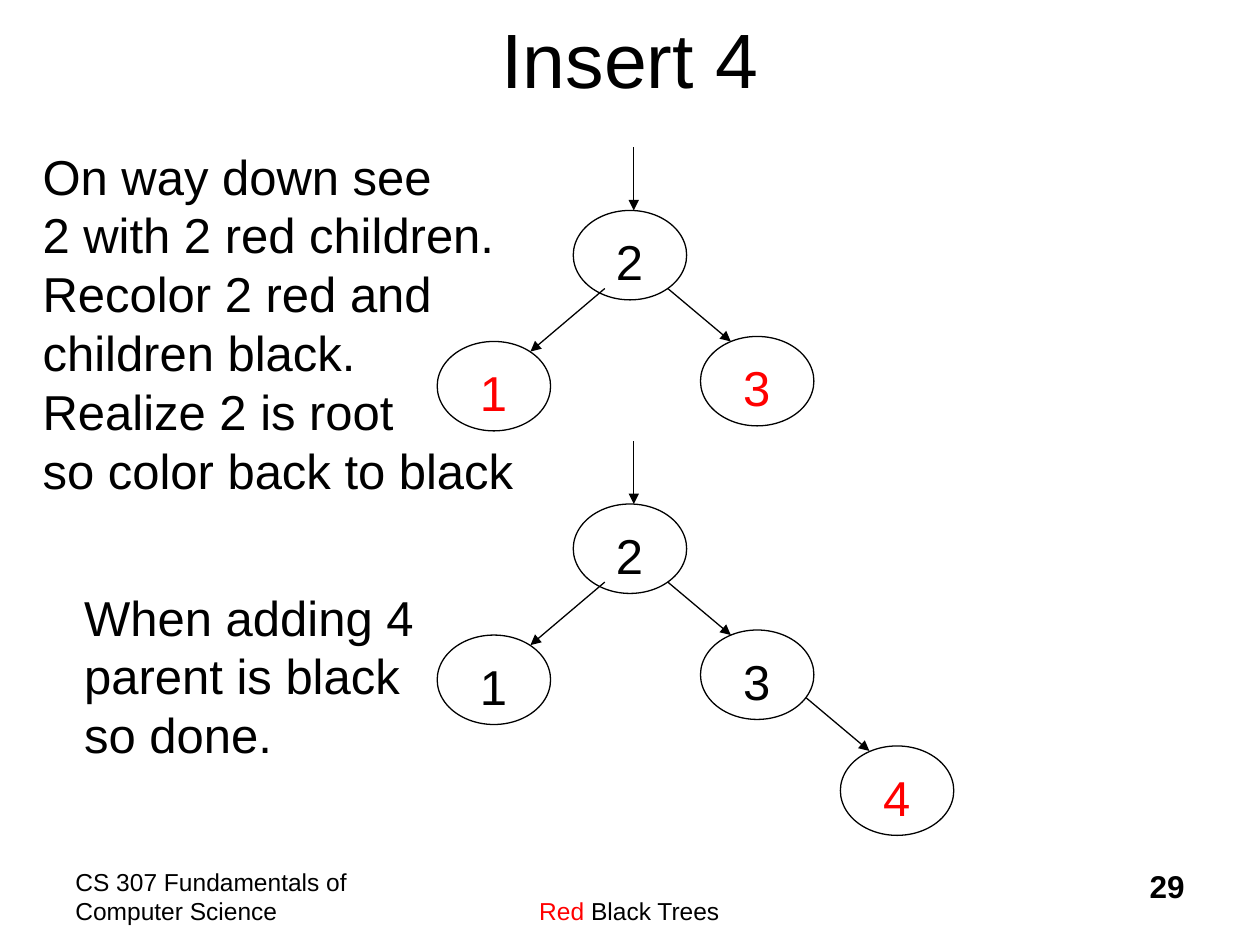
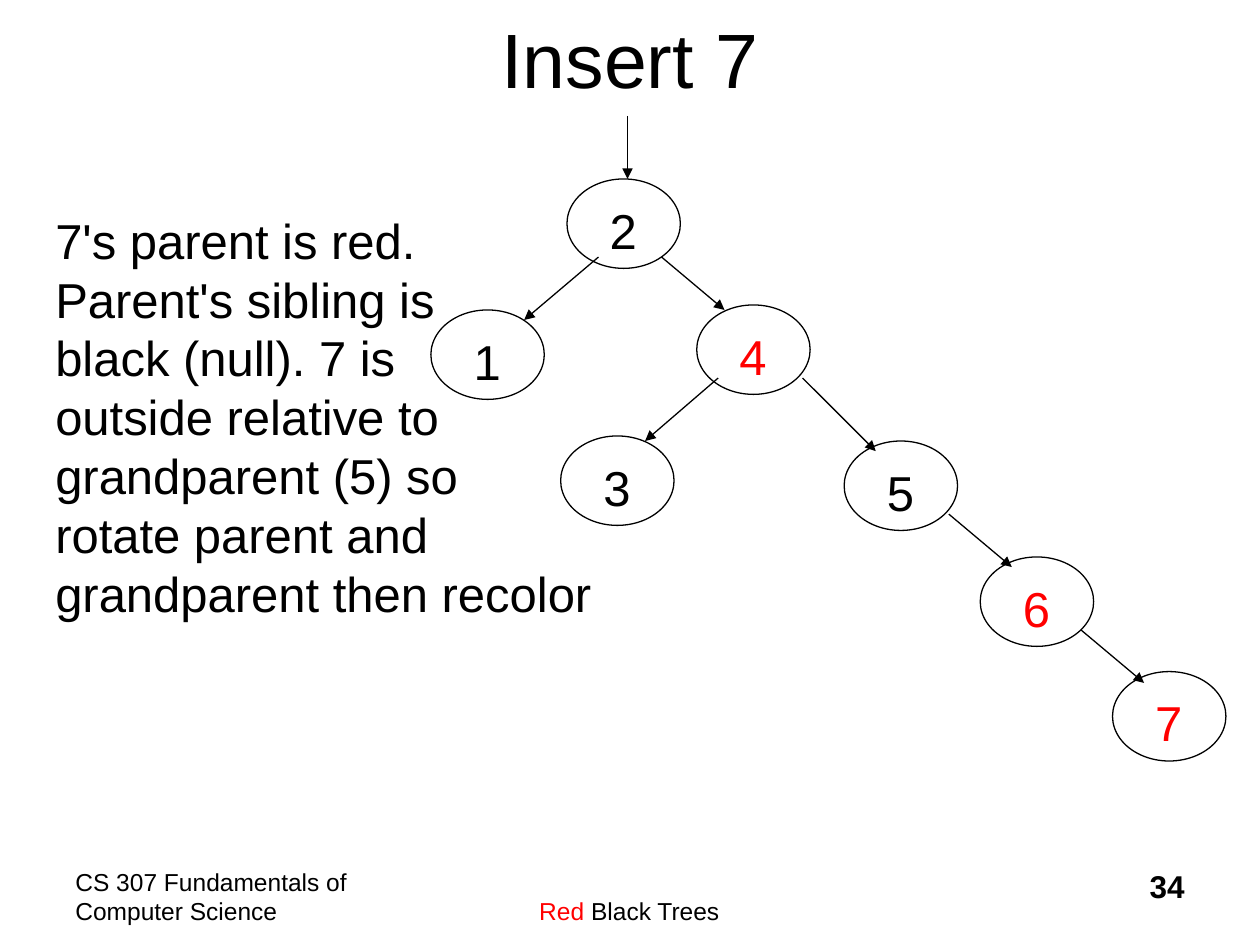
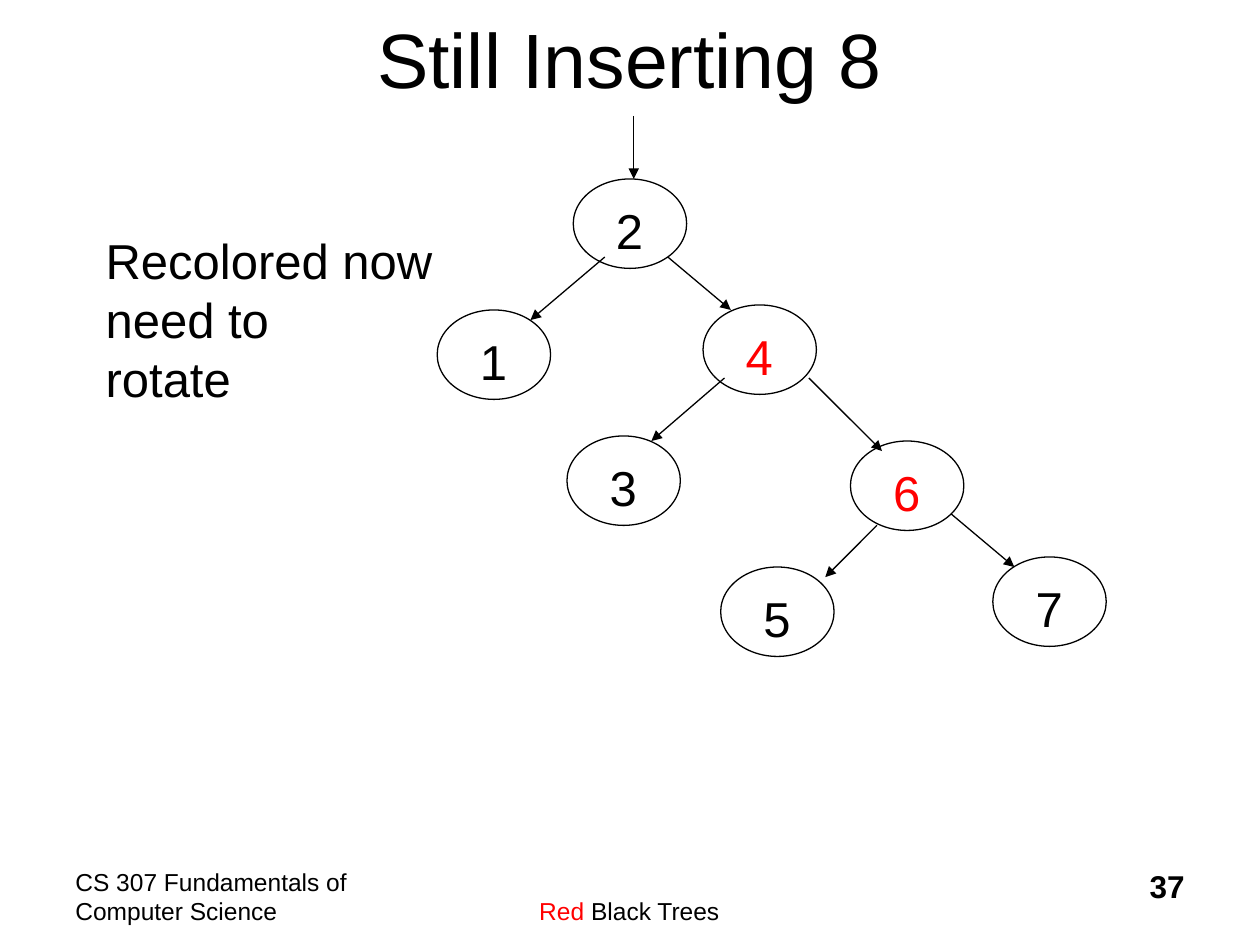
from lxml.etree import SubElement
from pptx import Presentation
from pptx.dml.color import RGBColor
from pptx.enum.shapes import MSO_CONNECTOR, MSO_SHAPE
from pptx.enum.text import MSO_ANCHOR, MSO_AUTO_SIZE, PP_ALIGN
from pptx.oxml.ns import qn
from pptx.util import Inches, Pt

BLACK = RGBColor(0, 0, 0)
RED = RGBColor(255, 0, 0)
FONT = "Arial"
NODE_W, NODE_H = 0.9, 0.71
LABEL = (0.24, 0.12, 0.41, 0.57)  # label box within a node

# Arrows and nodes are measured from the top left of the root node.
ROOT_ARROW = (0.48, -0.5, 0.48, 0)
LEFT_ARROW = (0.25, 0.62, -0.34, 1.12)
RIGHT_ARROW = (0.75, 0.62, 1.25, 1.04)
INNER_ARROW = (1.2, 1.58, 0.62, 2.08)
OUTER_ARROW = (1.87, 1.58, 2.45, 2.16)


def top_nodes(left, right, right_x):
    """Root 2 and its two children, the right one given as (value, colour)."""
    return [
        ("2", BLACK, 0, 0, ROOT_ARROW),
        ("1", left, -1.08, 1.04, LEFT_ARROW),
        (*right, right_x, 1, RIGHT_ARROW),
    ]


FOUR_TOP = top_nodes(BLACK, ("4", RED), 1.03) + [
    ("3", BLACK, -0.05, 2.04, INNER_ARROW),
]

SLIDES = [
    {
        "title": "Insert 4",
        "number": "29",
        "trees": [
            (4.55, 1.67, top_nodes(RED, ("3", RED), 1.01)),
            (4.55, 4, top_nodes(BLACK, ("3", BLACK), 1.01) + [
                ("4", RED, 2.12, 1.92, (1.85, 1.54, 2.35, 1.96)),
            ]),
        ],
        "notes": [
            ((0.24, 1.11, 3.93, 2.9), [
                "On way down see", "2 with 2 red children.",
                "Recolor 2 red and", "children black.",
                "Realize 2 is root", "so color back to black"]),
            ((0.57, 4.61, 2.81, 1.5), [
                "When adding 4", "parent is black", "so done."]),
        ],
    },
    {
        "title": "Insert 7",
        "number": "34",
        "trees": [
            (4.5, 1.42, FOUR_TOP + [
                ("5", BLACK, 2.2, 2.08, OUTER_ARROW),
                ("6", RED, 3.28, 3, (3.03, 2.66, 3.53, 3.08)),
                ("7", RED, 4.33, 3.91, (4.08, 3.58, 4.58, 4)),
            ]),
        ],
        "notes": [
            ((0.34, 1.62, 4.45, 3.37), [
                "7's parent is red.", "Parent's sibling is",
                "black (null). 7 is", "outside relative to",
                "grandparent (5) so ", "rotate parent and ",
                "grandparent then recolor"]),
        ],
    },
    {
        "title": "Still Inserting 8",
        "number": "37",
        "trees": [
            (4.55, 1.42, FOUR_TOP + [
                ("6", RED, 2.2, 2.08, OUTER_ARROW),
                ("5", BLACK, 1.17, 3.08, (2.41, 2.75, 2, 3.16)),
                ("7", BLACK, 3.33, 3, (3, 2.66, 3.5, 3.08)),
            ]),
        ],
        "notes": [
            ((0.74, 1.78, 2.79, 1.5), ["Recolored now", "need to", "rotate"]),
        ],
    },
]


def add_run(para, text, size, color=BLACK, bold=False):
    run = para.add_run()
    run.text = text
    font = run.font
    font.name, font.size, font.bold = FONT, Pt(size), bold
    font.color.rgb = color


def add_box(shapes, area, wrap=False, align=PP_ALIGN.LEFT):
    """Add an empty text box and return its first paragraph."""
    frame = shapes.add_textbox(*map(Inches, area)).text_frame
    frame.word_wrap = wrap
    frame.auto_size = MSO_AUTO_SIZE.NONE
    para = frame.paragraphs[0]
    para.alignment = align
    return para


def add_title(slide, text):
    title = slide.shapes.title
    title.left, title.top = Inches(0.75), Inches(-0.17)
    title.width, title.height = Inches(8.5), Inches(1.25)
    frame = title.text_frame
    frame.auto_size = MSO_AUTO_SIZE.NONE
    frame.vertical_anchor = MSO_ANCHOR.MIDDLE
    para = frame.paragraphs[0]
    para.alignment = PP_ALIGN.CENTER
    add_run(para, text, 44)


def add_footer(slide, number):
    shapes = slide.shapes
    course = add_box(shapes, (0.5, 6.83, 2.5, 0.5), True)
    add_run(course, "CS 307 Fundamentals of Computer Science", 14)
    topic = add_box(shapes, (3.08, 7.06, 3.83, 0.3), True, PP_ALIGN.CENTER)
    add_run(topic, "Red", 14, RED)
    add_run(topic, " Black Trees", 14)
    page = add_box(shapes, (7.42, 6.83, 2.08, 0.5), True, PP_ALIGN.RIGHT)
    add_run(page, number, 18, bold=True)


def add_note(slide, area, lines):
    para = add_box(slide.shapes, area)
    for i, line in enumerate(lines):
        if i:
            para.add_line_break()
        add_run(para, line, 28)


def add_node(slide, x, y, value, color):
    group = slide.shapes.add_group_shape()
    oval = group.shapes.add_shape(
        MSO_SHAPE.OVAL, *map(Inches, (x, y, NODE_W, NODE_H)))
    oval.shadow.inherit = False
    oval.fill.background()
    oval.line.color.rgb = BLACK
    oval.line.width = Pt(0.75)
    dx, dy, w, h = LABEL
    add_run(add_box(group.shapes, (x + dx, y + dy, w, h)), value, 28, color)


def add_arrow(slide, x, y, ends):
    x1, y1, x2, y2 = ends
    points = (x + x1, y + y1, x + x2, y + y2)
    arrow = slide.shapes.add_connector(
        MSO_CONNECTOR.STRAIGHT, *map(Inches, points))
    arrow.line.color.rgb = BLACK
    arrow.line.width = Pt(0.75)
    SubElement(arrow.line._get_or_add_ln(), qn("a:tailEnd"), type="triangle")
    SubElement(arrow._element.spPr, qn("a:effectLst"))


def add_tree(slide, x, y, nodes):
    for value, color, dx, dy, ends in nodes:
        add_node(slide, x + dx, y + dy, value, color)
        add_arrow(slide, x, y, ends)


def main():
    deck = Presentation()
    deck.slide_width, deck.slide_height = Inches(10), Inches(7.5)
    for item in SLIDES:
        slide = deck.slides.add_slide(deck.slide_layouts[5])
        add_footer(slide, item["number"])
        add_title(slide, item["title"])
        for tree in item["trees"]:
            add_tree(slide, *tree)
        for note in item["notes"]:
            add_note(slide, *note)
    deck.save("out.pptx")


if __name__ == "__main__":
    main()
